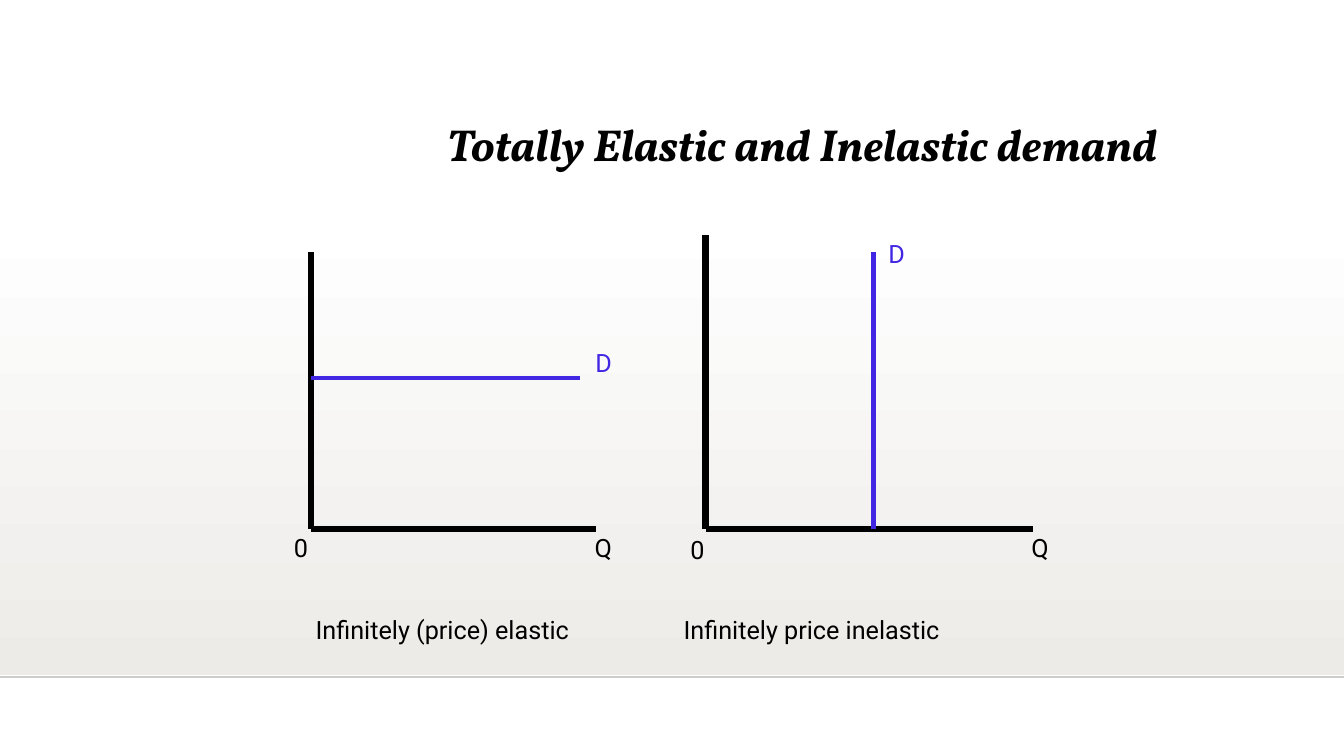
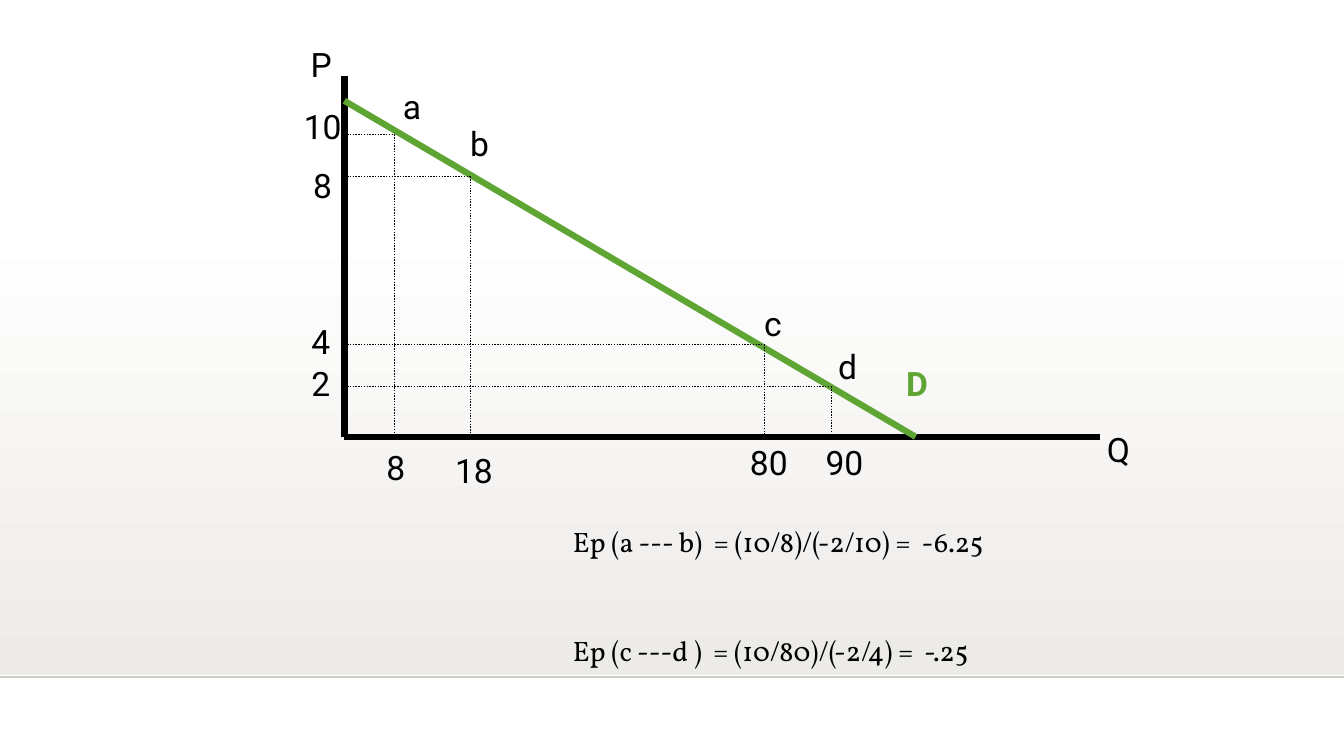
from dataclasses import dataclass
from typing import NamedTuple

from lxml.etree import SubElement
from pptx import Presentation
from pptx.dml.color import RGBColor
from pptx.enum.dml import MSO_LINE
from pptx.enum.shapes import MSO_CONNECTOR, MSO_SHAPE
from pptx.enum.text import MSO_ANCHOR, MSO_AUTO_SIZE, PP_ALIGN
from pptx.oxml.ns import qn
from pptx.util import Inches, Pt

# The slide is a grid of 160 columns by 90 rows, twelve cells to the inch
COLUMNS, ROWS = 160, 90
CELL = Inches(1) / 12


@dataclass(frozen=True)
class Theme:
    ink: str = "000000"
    paper: str = "FFFFFF"
    band: str = "EDEBE7"
    rule: str = "CCCCC8"
    violet: str = "4126E4"
    green: str = "5FA534"
    heading_font: str = "Vollkorn"
    label_font: str = "Roboto"
    title_size: float = 32
    formula_size: float = 20
    small_label: float = 18
    large_label: float = 24
    axis_width: float = 4.5
    demand_width: float = 3
    thin_width: float = 1


THEME = Theme()


class Spot(NamedTuple):
    column: float
    row: float


class Label(NamedTuple):
    text: str
    column: float
    row: float
    width: float
    color: str = THEME.ink
    bold: bool = False


class Axes(NamedTuple):
    origin: Spot
    top: float
    right: float


@dataclass(frozen=True)
class Graph:
    axes: Axes
    demand: tuple[Spot, Spot]
    labels: list[Label]


@dataclass(frozen=True)
class CurvePoint:
    spot: Spot
    name: Label
    price: Label
    quantity: Label


ELASTICITY_GRAPHS = [
    Graph(
        Axes(Spot(37, 63), top=30, right=71),
        (Spot(37, 45), Spot(69, 45)),
        [
            Label("D", 69.7, 40.8, 4.6, THEME.violet),
            Label("0", 33.8, 62.8, 4.1),
            Label("Q", 69.6, 62.8, 4.7),
            Label("Infinitely (price) elastic", 36.4, 72.5, 34.8),
        ],
    ),
    Graph(
        Axes(Spot(84, 63), top=28, right=123),
        (Spot(104, 30), Spot(104, 63)),
        [
            Label("D", 104.6, 27.8, 4.6, THEME.violet),
            Label("0", 81, 63, 4.1),
            Label("Q", 121.6, 62.8, 4.7),
            Label("Infinitely price inelastic", 80.2, 72.5, 35.6),
        ],
    ),
]

DEMAND_GRAPH = Graph(
    Axes(Spot(41, 52), top=9, right=131),
    (Spot(41, 12), Spot(109, 52)),
    [
        Label("P", 35.8, 4.6, 4.8),
        Label("Q", 130.6, 50.5, 5.5),
        Label("D", 106.7, 42.6, 5.3, THEME.green, True),
    ],
)

CURVE_POINTS = [
    CurvePoint(Spot(47, 16), Label("a", 46.8, 9.6, 4.6),
               Label("10", 35, 12, 7), Label("8", 44.8, 52.6, 4.7)),
    CurvePoint(Spot(56, 21), Label("b", 54.8, 14, 4.8),
               Label("8", 36.1, 19, 4.7), Label("18", 53, 53, 7)),
    CurvePoint(Spot(91, 41), Label("c", 89.8, 35.5, 4.3),
               Label("4", 35.9, 37.6, 4.7), Label("80", 88.1, 52, 7)),
    CurvePoint(Spot(99, 46), Label("d", 98.6, 40.6, 4.8),
               Label("2", 35.9, 42.6, 4.7), Label("90", 97.1, 52, 7)),
]

FORMULAS = [
    "Ep (a --- b)  = (10/8)/(-2/10) =  -6.25",
    "Ep (c ---d )  = (10/80)/(-2/4) =  -.25",
]


def cells(count: float) -> int:
    return round(count * CELL)


def place(shape, column: float, row: float, width: float, height: float) -> None:
    shape.left, shape.top = cells(column), cells(row)
    shape.width, shape.height = cells(width), cells(height)


def add_run(paragraph, text: str, font_name: str, size: float,
            color: str = THEME.ink, bold: bool = False, italic: bool = False) -> None:
    run = paragraph.add_run()
    run.text = text
    font = run.font
    font.name, font.size = font_name, Pt(size)
    font.bold, font.italic = bold, italic
    font.color.rgb = RGBColor.from_string(color)


def add_line(slide, start: Spot, end: Spot, width: float,
             color: str = THEME.ink, dash: MSO_LINE | None = None):
    line = slide.shapes.add_connector(
        MSO_CONNECTOR.STRAIGHT, *(cells(value) for value in (*start, *end)))
    line.line.color.rgb = RGBColor.from_string(color)
    line.line.width = Pt(width)
    if dash is not None:
        line.line.dash_style = dash
    SubElement(line._element.spPr, qn("a:effectLst"))
    return line


def add_label(slide, label: Label, size: float) -> None:
    height = size / 5 + 1.2
    box = slide.shapes.add_textbox(
        cells(label.column), cells(label.row), cells(label.width), cells(height))
    frame = box.text_frame
    frame.word_wrap = False
    frame.auto_size = MSO_AUTO_SIZE.SHAPE_TO_FIT_TEXT
    add_run(frame.paragraphs[0], label.text, THEME.label_font, size,
            label.color, label.bold)


def add_graph(slide, graph: Graph, color: str, demand_width: float,
              label_size: float) -> None:
    origin, top, right = graph.axes
    add_line(slide, Spot(origin.column, top), origin, THEME.axis_width)
    add_line(slide, origin, Spot(right, origin.row), THEME.axis_width)
    add_line(slide, *graph.demand, demand_width, color)
    for label in graph.labels:
        add_label(slide, label, label_size)


def add_master_band(presentation, slide) -> None:
    """Draw the shaded band and its rule, then hand them to the slide master."""
    band = slide.shapes.add_shape(
        MSO_SHAPE.RECTANGLE, 0, cells(26.4), cells(COLUMNS), cells(54))
    band.shadow.inherit = False
    band.line.fill.background()
    band.fill.gradient()
    band.fill.gradient_angle = 270
    for stop, color in zip(band.fill.gradient_stops, (THEME.paper, THEME.band)):
        stop.color.rgb = RGBColor.from_string(color)
    rule = add_line(slide, Spot(0, 80.6), Spot(COLUMNS, 80.6),
                    THEME.thin_width, THEME.rule)
    master_tree = presentation.slide_master.shapes._spTree
    for index, shape in enumerate((band, rule)):
        element = shape._element
        element.xpath(".//p:cNvPr")[0].set("id", str(101 + index))
        master_tree.insert(2 + index, element)


def build_elasticity_slide(presentation) -> None:
    slide = presentation.slides.add_slide(presentation.slide_layouts[5])
    add_master_band(presentation, slide)

    # Title
    title = slide.shapes.title
    place(title, 52, 6, 108, 15)
    frame = title.text_frame
    frame.auto_size = MSO_AUTO_SIZE.NONE
    frame.vertical_anchor = MSO_ANCHOR.BOTTOM
    paragraph = frame.paragraphs[0]
    paragraph.alignment = PP_ALIGN.LEFT
    paragraph.line_spacing = 0.9
    add_run(paragraph, "Totally Elastic and Inelastic demand",
            THEME.heading_font, THEME.title_size, bold=True, italic=True)

    # Two limiting cases side by side
    for graph in ELASTICITY_GRAPHS:
        add_graph(slide, graph, THEME.violet, THEME.demand_width, THEME.small_label)


def build_demand_slide(presentation) -> None:
    slide = presentation.slides.add_slide(presentation.slide_layouts[1])
    title = slide.shapes.title
    title._element.getparent().remove(title._element)

    # Formulas
    body = slide.placeholders[1]
    place(body, 67, 61, 93, 25)
    frame = body.text_frame
    frame.auto_size = MSO_AUTO_SIZE.NONE
    for index, formula in enumerate(FORMULAS):
        paragraph = frame.add_paragraph() if index else frame.paragraphs[0]
        properties = paragraph._p.get_or_add_pPr()
        properties.set("marL", "0")
        properties.set("indent", "0")
        SubElement(properties, qn("a:buNone"))
        paragraph.line_spacing = 1.2
        paragraph.space_before = Pt(49 if index else 0)
        add_run(paragraph, formula, THEME.heading_font, THEME.formula_size)

    # Demand curve, with dotted guides from each point to both axes
    add_graph(slide, DEMAND_GRAPH, THEME.green, THEME.axis_width, THEME.large_label)
    origin = DEMAND_GRAPH.axes.origin
    for point in CURVE_POINTS:
        spot = point.spot
        for start, end in ((Spot(origin.column, spot.row), spot),
                           (spot, Spot(spot.column, origin.row))):
            add_line(slide, start, end, THEME.thin_width, dash=MSO_LINE.ROUND_DOT)
        for label in (point.name, point.price, point.quantity):
            add_label(slide, label, THEME.large_label)


def main() -> None:
    presentation = Presentation()
    presentation.slide_width = cells(COLUMNS)
    presentation.slide_height = cells(ROWS)
    build_elasticity_slide(presentation)
    build_demand_slide(presentation)
    presentation.save("out.pptx")


if __name__ == "__main__":
    main()
